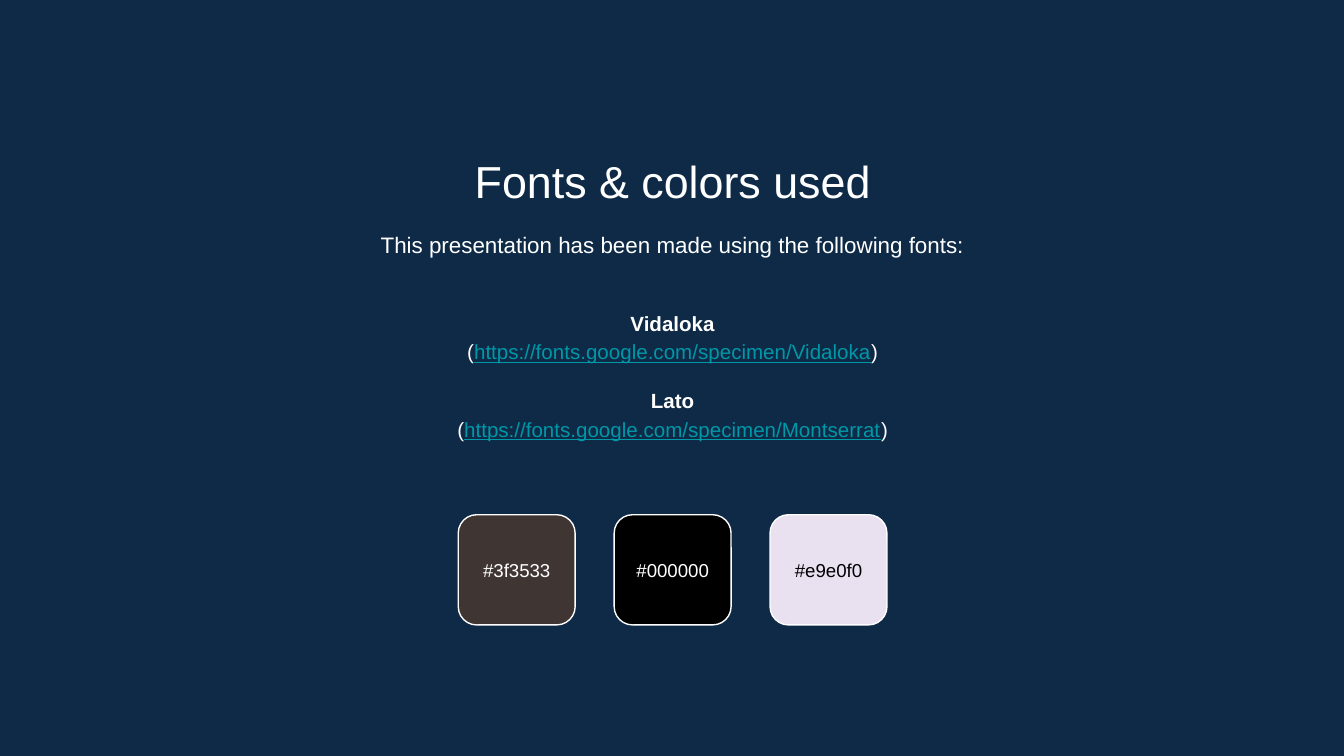
"""Build a slide listing the fonts and colors used in a presentation."""
from lxml import etree
from pptx import Presentation
from pptx.dml.color import RGBColor
from pptx.enum.shapes import MSO_SHAPE as Shape
from pptx.enum.text import MSO_ANCHOR as Anchor, MSO_AUTO_SIZE as AutoSize, PP_ALIGN as Align
from pptx.oxml.ns import qn
from pptx.util import Inches, Pt


def color(value):
    return RGBColor.from_string(value)


def add_text(para, text, size, fill="FFFFFF", bold=False, underline=False):
    para.alignment = Align.CENTER
    span = para.add_run()
    span.text = text
    font = span.font
    font.name, font.size, font.bold, font.underline = "Arial", Pt(size), bold, underline
    font.color.rgb = color(fill)


deck = Presentation()
deck.slide_width, deck.slide_height = Inches(10), Inches(10 * 9 / 16)
page = deck.slides.add_slide(deck.slide_layouts[3])
page.background.fill.solid()
page.background.fill.fore_color.rgb = color("0E2A47")

title, intro, fonts = page.placeholders
places = [(title, 1.04, 0.53, Anchor.TOP), (intro, 1.59, 0.48, Anchor.TOP), (fonts, 2.1, 1.37, Anchor.MIDDLE)]
for box, top, height, anchor in places:
    box.left, box.top, box.width, box.height = Inches(1.15), Inches(top), Inches(7.71), Inches(height)
    frame = box.text_frame
    frame.margin_left = frame.margin_right = frame.margin_top = frame.margin_bottom = Inches(0.1)
    frame.auto_size, frame.word_wrap = AutoSize.NONE, True
    frame.vertical_anchor = anchor

add_text(title.text_frame.paragraphs[0], "Fonts & colors used", 24)
add_text(intro.text_frame.paragraphs[0], "This presentation has been made using the following fonts:", 12)

font_links = [
    ("Vidaloka", "https://fonts.google.com/specimen/Vidaloka"),
    ("Lato", "https://fonts.google.com/specimen/Montserrat"),
]
for index, (name, link) in enumerate(font_links):
    para = fonts.text_frame.add_paragraph() if index else fonts.text_frame.paragraphs[0]
    add_text(para, name, 11, bold=True)
    para = fonts.text_frame.add_paragraph()
    add_text(para, "(", 11)
    add_text(para, link, 11, "0097A7", underline=True)
    add_text(para, ")", 11)

for box in (intro, fonts):
    for para in box.text_frame.paragraphs:
        para.line_spacing = 1.15
        para.space_before = Pt(0)
        properties = para._p.get_or_add_pPr()
        properties.set("marL", "0")
        properties.set("indent", "0")
        etree.SubElement(properties, qn("a:buNone"))
fonts.text_frame.paragraphs[2].space_before = Pt(11)

swatches = [("3f3533", "FFFFFF"), ("000000", "FFFFFF"), ("e9e0f0", "000000")]
for index, (fill, text_color) in enumerate(swatches):
    swatch = page.shapes.add_shape(
        Shape.ROUNDED_RECTANGLE, Inches(3.41 + 1.16 * index), Inches(3.83), Inches(0.87), Inches(0.82))
    swatch.shadow.inherit = False
    swatch.fill.solid()
    swatch.fill.fore_color.rgb = color(fill)
    swatch.line.color.rgb = color("FFFFFF")
    swatch.line.width = Pt(0.75)
    frame = swatch.text_frame
    frame.margin_left = frame.margin_right = Inches(0)
    frame.vertical_anchor = Anchor.MIDDLE
    add_text(frame.paragraphs[0], f"#{fill}", 10, text_color)

deck.save("out.pptx")
